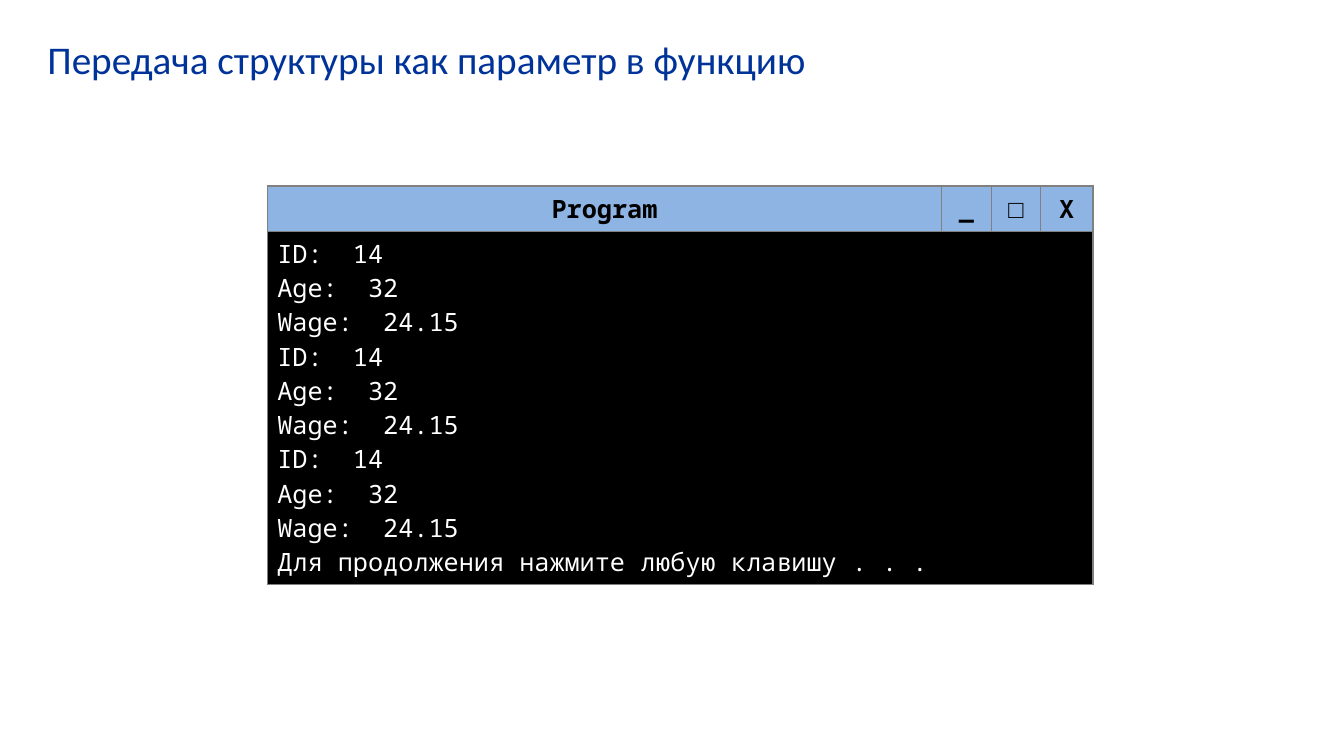
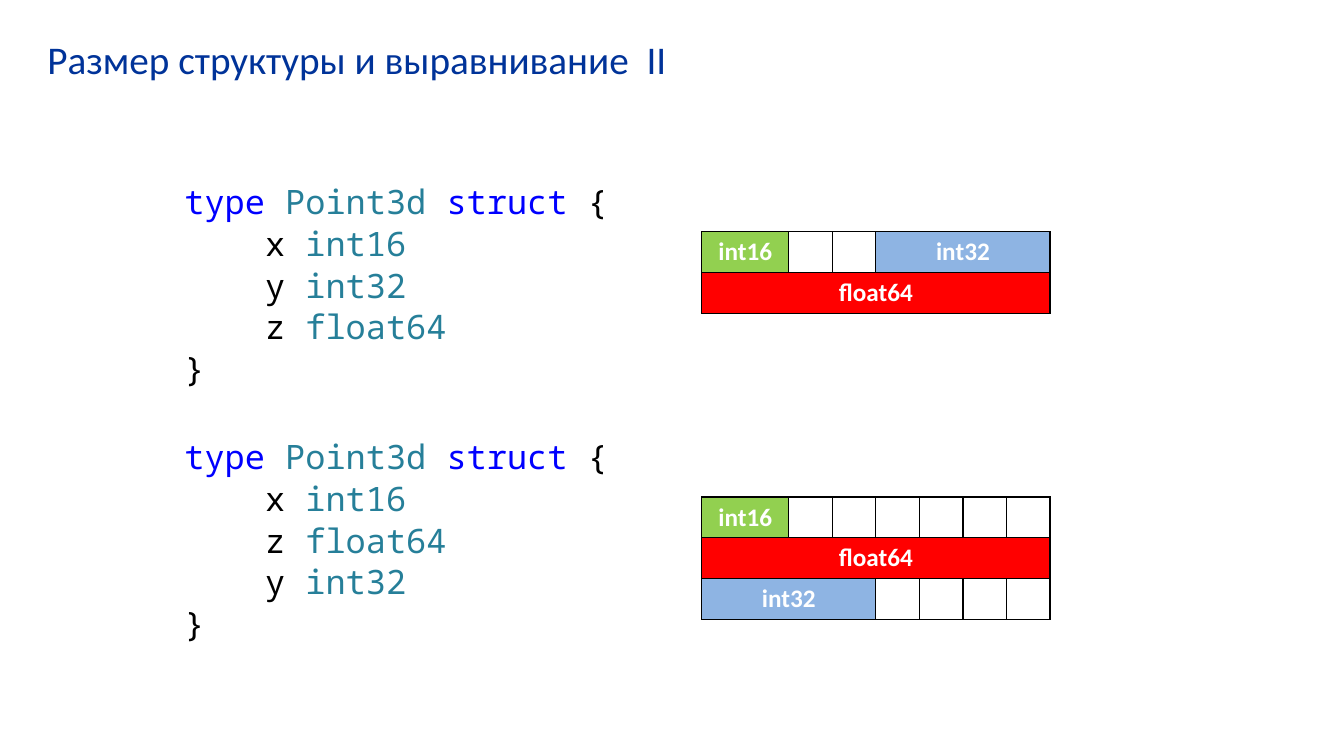
from dataclasses import dataclass
from itertools import accumulate, pairwise

from lxml import etree
from pptx import Presentation
from pptx.dml.color import RGBColor
from pptx.enum.text import MSO_ANCHOR, MSO_AUTO_SIZE, PP_ALIGN
from pptx.oxml.ns import qn
from pptx.util import Inches, Pt

LEFT, CENTER = PP_ALIGN.LEFT, PP_ALIGN.CENTER
TOP, MIDDLE = MSO_ANCHOR.TOP, MSO_ANCHOR.MIDDLE
NO_AUTOFIT = MSO_AUTO_SIZE.NONE

# Shared look
SLIDE_WIDTH, SLIDE_HEIGHT = Inches(13.33), Inches(7.5)
TITLE_ONLY = 5
SANS, MONO = "Calibri", "Noto Sans Mono"
NAVY, BLACK, WHITE, GRAY = "003399", "000000", "FFFFFF", "808080"
SKY, GREEN, RED = "8EB4E3", "92D050", "FF0000"
KEYWORD, TYPE_NAME = "0000FF", "267F99"

# Code listing metrics, in points
CODE_SIZE, CODE_GAP, CODE_INDENT, STRUCT_GAP = 24, 0.9, 57.6, 34.5

# Memory layout metrics, in percent of the slide
WORD_BYTES, BYTE_WIDTH, WORD_HEIGHT = 8, 3.24, 5.4


@dataclass(frozen=True)
class TextStyle:
    font: str
    size: float
    color: str
    bold: bool = False


@dataclass(frozen=True)
class Cell:
    row: int
    col: int
    span: int
    lines: tuple[str, ...]
    style: TextStyle
    fill: str | None
    align: PP_ALIGN = CENTER
    anchor: MSO_ANCHOR = MIDDLE


@dataclass(frozen=True)
class Field:
    """A field of a structure; a field without a name is padding."""
    name: str
    size: int
    fill: str | None = None


@dataclass(frozen=True)
class Struct:
    members: tuple[tuple[str, str], ...]
    words: tuple[tuple[Field, ...], ...]
    memory_top: float


TITLE_STYLE = TextStyle(SANS, 28, NAVY)
BAR_STYLE = TextStyle(MONO, 18, BLACK, True)
CONSOLE_STYLE = TextStyle(MONO, 18, WHITE)
FIELD_STYLE = TextStyle(SANS, 18, WHITE, True)

# Content
RECORD = ("ID:  14", "Age:  32", "Wage:  24.15")
CONSOLE_LINES = RECORD * 3 + ("Для продолжения нажмите любую клавишу . . .",)
BAR_LABELS = ("Program", "_", "□", "X")

INT16, INT32 = Field("int16", 2, GREEN), Field("int32", 4, SKY)
FLOAT64, PAD = Field("float64", 8, RED), Field("", 1)
STRUCTS = (
    Struct((("x", "int16"), ("y", "int32"), ("z", "float64")),
           ((INT16, PAD, PAD, INT32), (FLOAT64,)), 30.67),
    Struct((("x", "int16"), ("z", "float64"), ("y", "int32")),
           ((INT16, *[PAD] * 6), (FLOAT64,), (INT32, *[PAD] * 4)), 65.73),
)


def across(percent: float) -> int:
    return round(SLIDE_WIDTH * percent / 100)


def down(percent: float) -> int:
    return round(SLIDE_HEIGHT * percent / 100)


def rgb(color: str) -> RGBColor:
    return RGBColor.from_string(color)


def add_run(paragraph, text: str, style: TextStyle) -> None:
    run = paragraph.add_run()
    run.text = text
    run.font.name, run.font.size = style.font, Pt(style.size)
    run.font.bold = style.bold
    run.font.color.rgb = rgb(style.color)


def next_paragraph(frame, index: int):
    return frame.add_paragraph() if index else frame.paragraphs[0]


def add_titled_slide(deck, text: str):
    slide = deck.slides.add_slide(deck.slide_layouts[TITLE_ONLY])
    title = slide.shapes.title
    title.left, title.top = across(2.78), down(4)
    title.width, title.height = across(94.5), down(12.4)
    frame = title.text_frame
    frame.word_wrap, frame.auto_size = True, NO_AUTOFIT
    frame.vertical_anchor = TOP
    frame.paragraphs[0].alignment = LEFT
    add_run(frame.paragraphs[0], text, TITLE_STYLE)
    return slide


def outline_cell(cell, color: str) -> None:
    properties = cell._tc.get_or_add_tcPr()
    for position, side in enumerate(("a:lnL", "a:lnR", "a:lnT", "a:lnB")):
        line = etree.Element(qn(side), w=str(Pt(1)))
        solid = etree.SubElement(line, qn("a:solidFill"))
        etree.SubElement(solid, qn("a:srgbClr"), val=color)
        properties.insert(position, line)


def add_grid(slide, left: float, top: float, widths: list[float],
             heights: list[float], border: str, cells: list[Cell]) -> None:
    table = slide.shapes.add_table(
        len(heights), len(widths), across(left), down(top),
        across(sum(widths)), down(sum(heights))).table
    table.first_row = table.horz_banding = False
    for column, width in zip(table.columns, widths):
        column.width = across(width)
    for row, height in zip(table.rows, heights):
        row.height = down(height)
    for cell in table.iter_cells():
        cell.fill.background()
        outline_cell(cell, border)
    for item in cells:
        cell = table.cell(item.row, item.col)
        if item.span > 1:
            cell.merge(table.cell(item.row, item.col + item.span - 1))
        if item.fill:
            cell.fill.solid()
            cell.fill.fore_color.rgb = rgb(item.fill)
        cell.vertical_anchor = item.anchor
        for index, line in enumerate(item.lines):
            paragraph = next_paragraph(cell.text_frame, index)
            paragraph.alignment = item.align
            add_run(paragraph, line, item.style)


def add_console(slide) -> None:
    cells = [Cell(0, col, 1, (label,), BAR_STYLE, SKY)
             for col, label in enumerate(BAR_LABELS)]
    cells.append(Cell(1, 0, len(BAR_LABELS), CONSOLE_LINES, CONSOLE_STYLE,
                      BLACK, LEFT, TOP))
    add_grid(slide, 19.88, 24.6, [50.19, 3.68, 3.68, 3.9], [6, 46.67], GRAY, cells)


def add_memory(slide, struct: Struct) -> None:
    # Columns run between all the byte offsets at which some field starts
    offsets = [list(accumulate((field.size for field in word), initial=0))
               for word in struct.words]
    edges = sorted(set().union(*offsets))
    widths = [(end - start) * BYTE_WIDTH for start, end in pairwise(edges)]
    cells = []
    for row, word in enumerate(struct.words):
        for field, (start, end) in zip(word, pairwise(offsets[row])):
            if field.name:
                col = edges.index(start)
                cells.append(Cell(row, col, edges.index(end) - col,
                                  (field.name,), FIELD_STYLE, field.fill))
    add_grid(slide, 52.21, struct.memory_top, widths,
             [WORD_HEIGHT] * len(struct.words), BLACK, cells)


def add_code(slide) -> None:
    box = slide.shapes.add_textbox(across(12.98), down(23.33),
                                   across(37.5), down(66))
    frame = box.text_frame
    frame.word_wrap, frame.auto_size = True, NO_AUTOFIT
    header = (("type ", KEYWORD), ("Point3d ", TYPE_NAME),
              ("struct", KEYWORD), (" {", BLACK))
    line_count = 0
    for struct in STRUCTS:
        members = [((name + " ", BLACK), (kind, TYPE_NAME))
                   for name, kind in struct.members]
        for line in (header, *members, (("}", BLACK),)):
            paragraph = next_paragraph(frame, line_count)
            starts_next = line is header and line_count > 0
            paragraph.space_before = Pt(STRUCT_GAP if starts_next else CODE_GAP)
            if line in members:
                paragraph._p.get_or_add_pPr().set("marL", str(Pt(CODE_INDENT)))
            for text, color in line:
                add_run(paragraph, text, TextStyle(MONO, CODE_SIZE, color))
            line_count += 1


def main() -> None:
    deck = Presentation()
    deck.slide_width, deck.slide_height = SLIDE_WIDTH, SLIDE_HEIGHT

    # Program output
    add_console(add_titled_slide(deck, "Передача структуры как параметр в функцию"))

    # Structure alignment
    alignment = add_titled_slide(deck, "Размер структуры и выравнивание  II")
    add_code(alignment)
    for struct in STRUCTS:
        add_memory(alignment, struct)

    deck.save("out.pptx")


if __name__ == "__main__":
    main()
